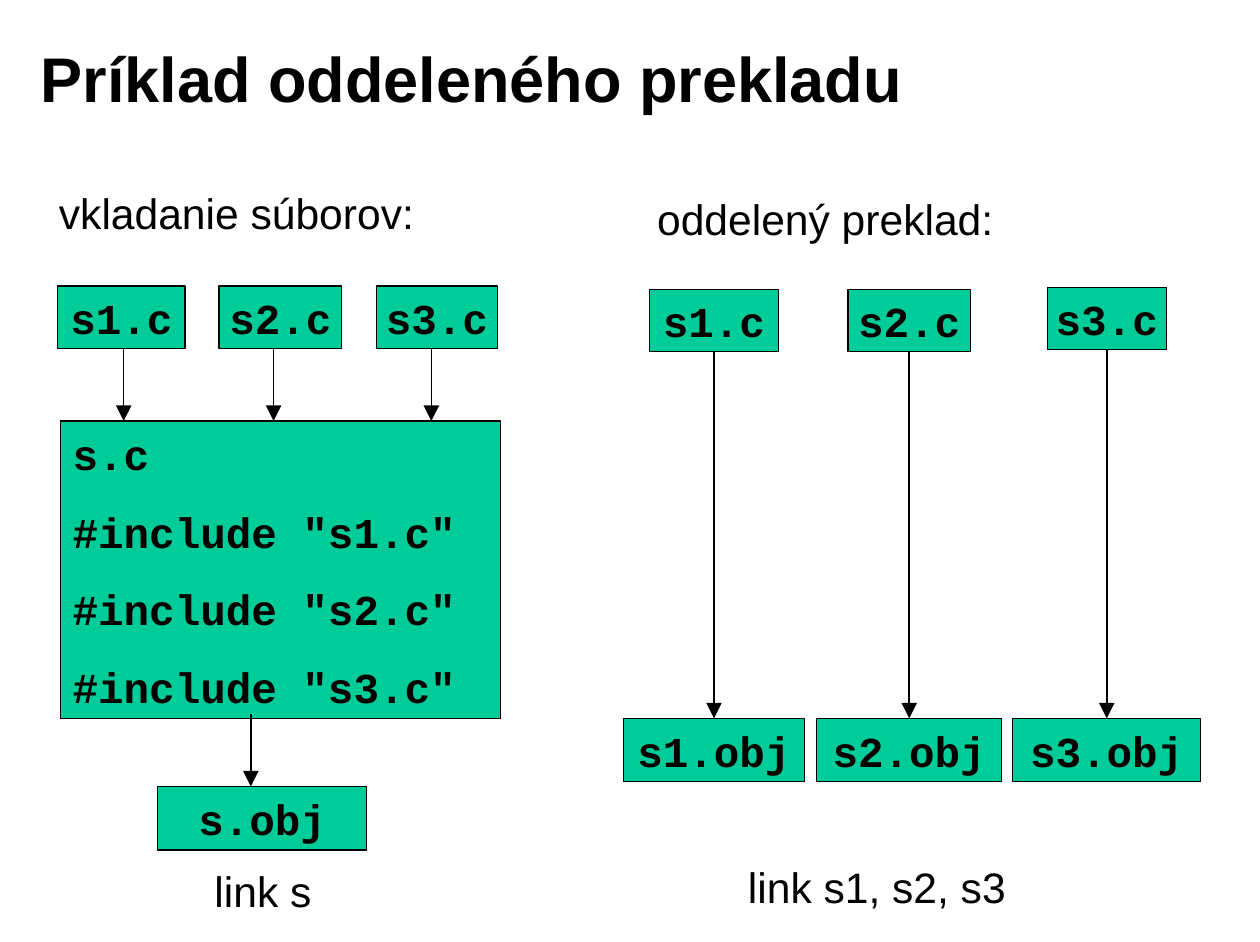
from dataclasses import dataclass

from lxml.etree import SubElement
from pptx import Presentation
from pptx.dml.color import RGBColor
from pptx.enum.shapes import MSO_CONNECTOR, MSO_SHAPE
from pptx.enum.text import MSO_ANCHOR, PP_ALIGN
from pptx.oxml.ns import qn
from pptx.util import Inches, Pt

BOTTOM, TOP = 2, 0


@dataclass(frozen=True)
class Theme:
    ink: RGBColor = RGBColor(0x00, 0x00, 0x00)
    box_fill: RGBColor = RGBColor(0x00, 0xCC, 0x99)
    text_font: str = "Arial"
    code_font: str = "Courier New"
    title_size: int = 40
    body_size: int = 27
    code_gap: float = 16.9
    outline: float = 0.75
    arrow: float = 1


class Diagram:
    def __init__(self, page, theme):
        self.page = page
        self.theme = theme

    def _write(self, shape, lines, font, size, bold, anchor, wrap=True):
        frame = shape.text_frame
        frame.word_wrap = wrap
        frame.vertical_anchor = anchor
        frame.margin_left = frame.margin_right = Inches(0.11)
        frame.margin_top = frame.margin_bottom = Inches(0.06)
        frame.text = "\n".join(lines)
        for para in frame.paragraphs:
            para.font.name = font
            para.font.size = Pt(size)
            para.font.bold = bold
            para.font.color.rgb = self.theme.ink
        return frame.paragraphs

    def title(self, text, left, top, width, height):
        box = self.page.shapes.add_textbox(
            Inches(left), Inches(top), Inches(width), Inches(height))
        self._write(box, [text], self.theme.text_font, self.theme.title_size,
                    True, MSO_ANCHOR.MIDDLE)

    def label(self, text, left, top, width):
        box = self.page.shapes.add_textbox(
            Inches(left), Inches(top), Inches(width), Inches(0.56))
        self._write(box, [text], self.theme.text_font, self.theme.body_size,
                    False, MSO_ANCHOR.TOP)

    def code_box(self, lines, center, top, width, height=0.56,
                 align=PP_ALIGN.CENTER, anchor=MSO_ANCHOR.TOP, wrap=True):
        """Draw a code box placed by the horizontal position of its middle."""
        box = self.page.shapes.add_shape(
            MSO_SHAPE.RECTANGLE, Inches(center - width / 2), Inches(top),
            Inches(width), Inches(height))
        box.shadow.inherit = False
        box.fill.solid()
        box.fill.fore_color.rgb = self.theme.box_fill
        box.line.color.rgb = self.theme.ink
        box.line.width = Pt(self.theme.outline)
        paras = self._write(box, lines, self.theme.code_font,
                            self.theme.body_size, True, anchor, wrap)
        for index, para in enumerate(paras):
            para.alignment = align
            if index:
                para.space_before = Pt(self.theme.code_gap)
        return box

    def source_file(self, name, center, top, width):
        return self.code_box([name], center, top, width, 0.55,
                             anchor=MSO_ANCHOR.MIDDLE, wrap=False)

    def arrow(self, x, start, end):
        line = self.page.shapes.add_connector(
            MSO_CONNECTOR.STRAIGHT, Inches(x), Inches(start), Inches(x), Inches(end))
        line.line.color.rgb = self.theme.ink
        line.line.width = Pt(self.theme.arrow)
        outline = line._element.spPr.find(qn("a:ln"))
        SubElement(outline, qn("a:tailEnd"), type="triangle", w="lg", len="lg")
        SubElement(line._element.spPr, qn("a:effectLst"))
        return line


def draw_inclusion(diagram):
    diagram.label("vkladanie súborov:", 0.41, 1.59, 3.6)
    for name, center, width, arrow_x in [
        ("s1.c", 1.07, 1.12, 1.09),
        ("s2.c", 2.47, 1.08, 2.41),
        ("s3.c", 3.85, 1.06, 3.8),
    ]:
        diagram.source_file(name, center, 2.52, width)
        diagram.arrow(arrow_x, 3.07, 3.71)
    includes = [f'#include "s{number}.c"' for number in (1, 2, 3)]
    diagram.code_box(["s.c", *includes], 2.47, 3.71, 3.88, 2.62, PP_ALIGN.LEFT)
    diagram.code_box(["s.obj"], 2.31, 6.93, 1.84)
    diagram.arrow(2.21, 6.29, 6.93)
    diagram.label("link s", 1.78, 7.56, 1.3)


def draw_separate_compilation(diagram):
    diagram.label("oddelený preklad:", 5.68, 1.64, 3.4)
    for name, center, top, source_width, object_width in [
        ("s1", 6.29, 2.55, 1.14, 1.6),
        ("s2", 8.01, 2.55, 1.08, 1.63),
        ("s3", 9.75, 2.53, 1.05, 1.66),
    ]:
        source = diagram.source_file(f"{name}.c", center, top, source_width)
        compiled = diagram.code_box([f"{name}.obj"], center, 6.33, object_width)
        arrow = diagram.arrow(center, top + 0.55, 6.33)
        arrow.begin_connect(source, BOTTOM)
        arrow.end_connect(compiled, TOP)
    diagram.label("link s1, s2, s3", 6.48, 7.53, 2.9)


def main():
    deck = Presentation()
    deck.slide_width, deck.slide_height = Inches(11.1), Inches(8.3)
    page = deck.slides.add_slide(deck.slide_layouts[6])
    diagram = Diagram(page, Theme())
    diagram.title("Príklad oddeleného prekladu", 0.25, 0.17, 8.92, 1.02)
    draw_inclusion(diagram)
    draw_separate_compilation(diagram)
    deck.save("out.pptx")


if __name__ == "__main__":
    main()
